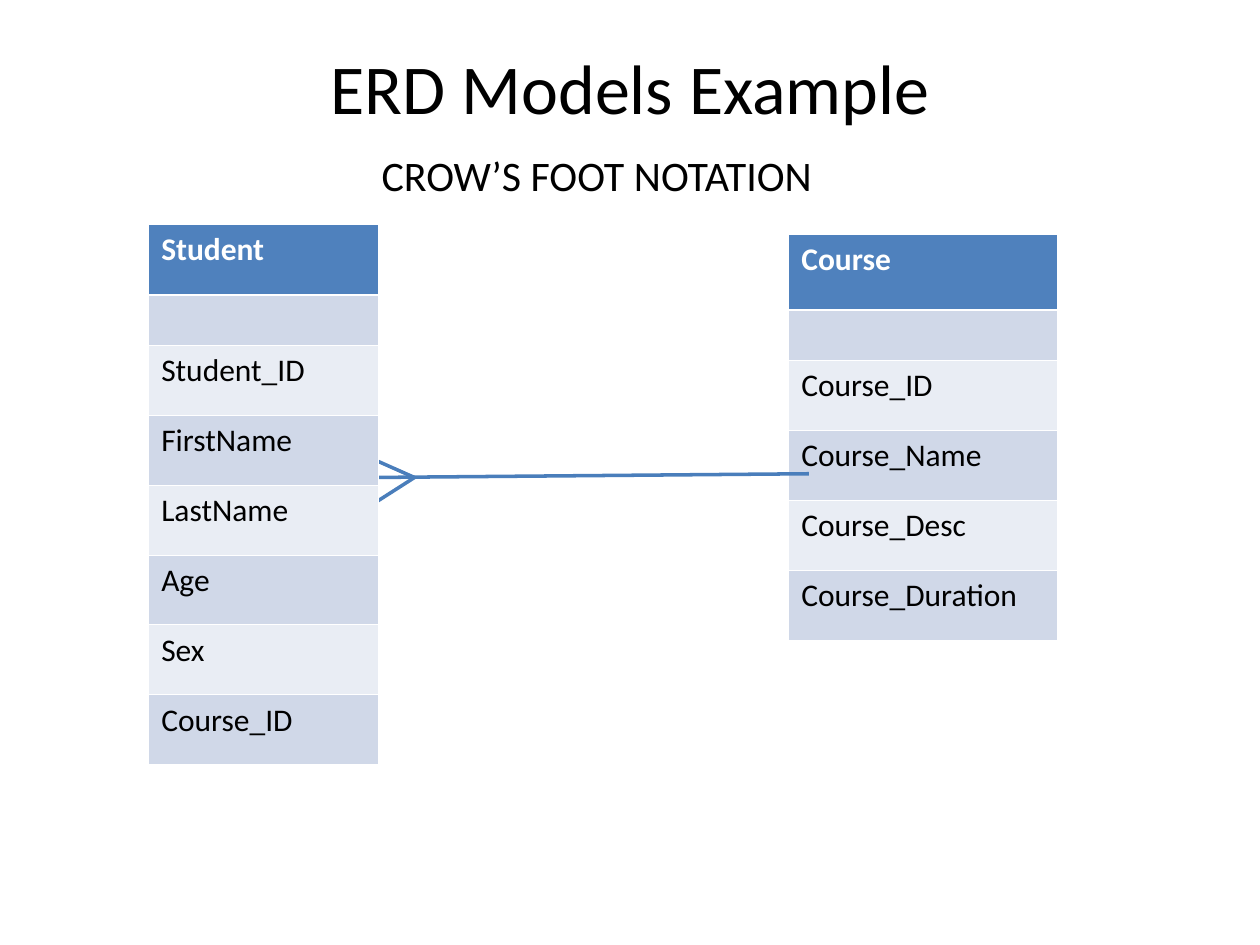
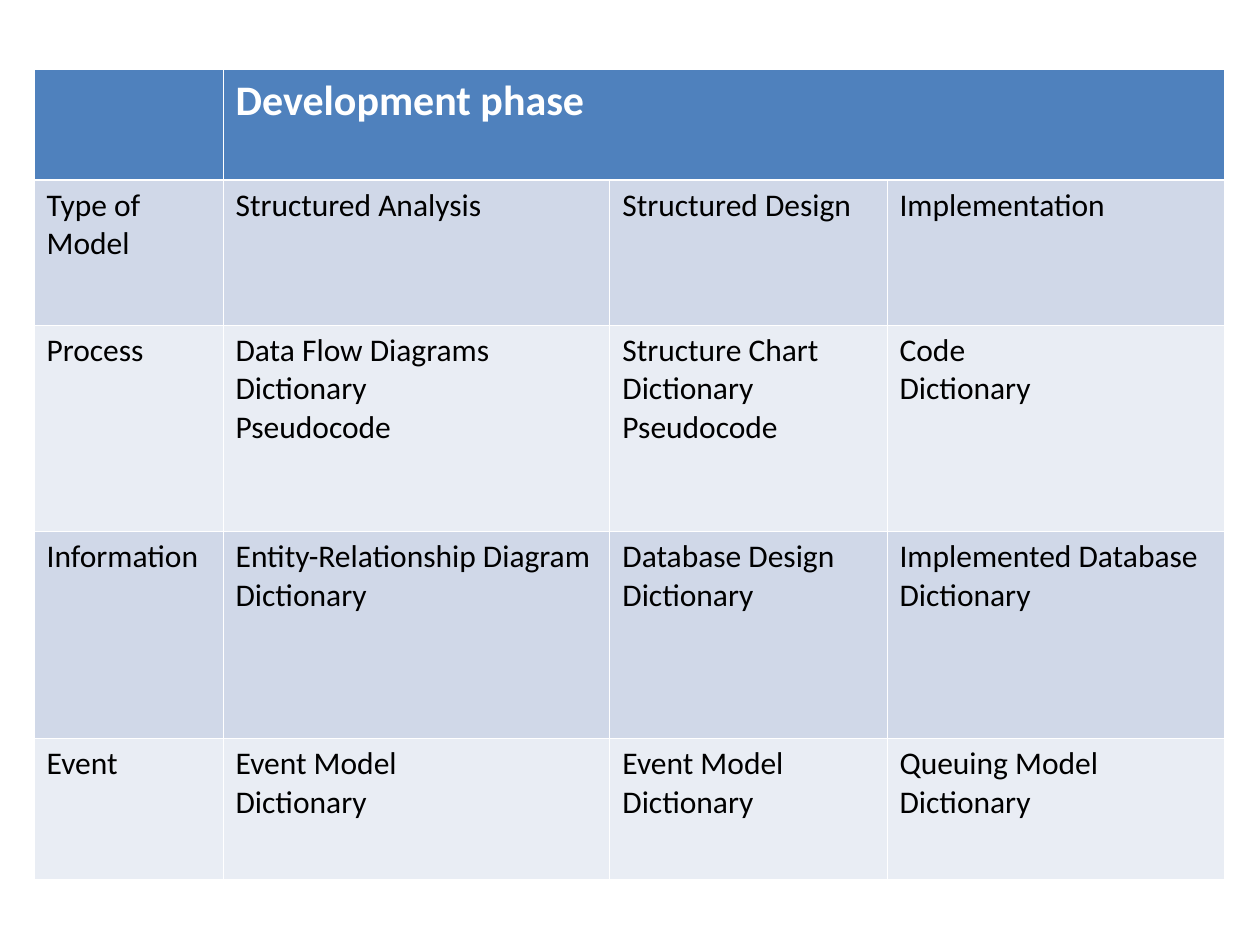
from dataclasses import dataclass

from lxml.etree import SubElement
from pptx import Presentation
from pptx.dml.color import RGBColor
from pptx.enum.shapes import MSO_CONNECTOR as Connector
from pptx.enum.text import MSO_ANCHOR as Anchor, PP_ALIGN as Align
from pptx.oxml import parse_xml
from pptx.oxml.ns import nsdecls, qn
from pptx.util import Emu, Inches, Pt

# Shared look
FONT = "Calibri"
BLACK, WHITE = "000000", "FFFFFF"
HEADER, BANDS = "4F81BD", ("D0D8E8", "E9EDF4")
LINK = "4A7EBB"
BODY_SIZE, SUBTITLE_SIZE, TITLE_SIZE = 18, 24, 40
THIN, THICK = 0.45, 1.47

# The slide is a grid of 100 columns by 75 rows
SLIDE_WIDTH, SLIDE_HEIGHT = Inches(10), Inches(7.5)
COLUMNS, ROWS = 100, 75


@dataclass(frozen=True)
class Label:
    text: str
    left: float
    top: float
    width: float
    height: float
    size: int
    align: Align = Align.LEFT
    anchor: Anchor = Anchor.TOP


@dataclass(frozen=True)
class Grid:
    left: float
    top: float
    widths: tuple[float, ...]
    heights: tuple[float, ...]
    cells: tuple[tuple[str, ...], ...]
    header_size: int = BODY_SIZE


@dataclass(frozen=True)
class Stroke:
    start: tuple[float, float]
    end: tuple[float, float]


TITLE = Label("ERD Models Example", 5, 3, 90, 7.7, TITLE_SIZE, Align.CENTER, Anchor.MIDDLE)
NOTATION = Label("CROW’S FOOT NOTATION", 29.3, 11.4, 37.6, 5, SUBTITLE_SIZE)

COURSE = Grid(
    62.6, 18.6, (21.3,), (6, 4) + (5.55,) * 4,
    (("Course",), ("",), ("Course_ID",), ("Course_Name",), ("Course_Desc",),
     ("Course_Duration",)),
)
STUDENT = Grid(
    11.8, 17.8, (18.2,), (5.6, 4) + (5.55,) * 6,
    (("Student",), ("",), ("Student_ID",), ("FirstName",), ("LastName",), ("Age",),
     ("Sex",), ("Course_ID",)),
)

# Crow's foot: two toes that meet on the relationship line
FOOT_LEFT, FOOT_TIP = 29.3, (32.9, 37.9)
RELATIONSHIP = (
    Stroke((FOOT_LEFT, 36.3), FOOT_TIP),
    Stroke((FOOT_LEFT, 37.9), (64.2, 37.6)),
    Stroke((FOOT_LEFT, 40.2), FOOT_TIP),
)

PHASES = Grid(
    2.7, 5.5, (15, 30.7, 22, 26.8), (8.8, 11.5, 16.4, 16.4, 11.2),
    (
        ("", "Development phase", "", ""),
        ("Type of Model", "Structured Analysis", "Structured Design", "Implementation"),
        ("Process", "Data Flow Diagrams\nDictionary\nPseudocode",
         "Structure Chart\nDictionary\nPseudocode", "Code\nDictionary"),
        ("Information", "Entity-Relationship Diagram\nDictionary",
         "Database Design Dictionary", "Implemented Database\nDictionary"),
        ("Event", "Event Model\nDictionary", "Event Model\nDictionary",
         "Queuing Model\nDictionary"),
    ),
    header_size=SUBTITLE_SIZE,
)


def rgb(colour: str) -> RGBColor:
    return RGBColor.from_string(colour)


def across(columns: float) -> Emu:
    return Emu(round(SLIDE_WIDTH * columns / COLUMNS))


def down(rows: float) -> Emu:
    return Emu(round(SLIDE_HEIGHT * rows / ROWS))


def format_text(frame, size: int, colour: str, bold: bool = False) -> None:
    for paragraph in frame.paragraphs:
        for run in paragraph.runs:
            run.font.name = FONT
            run.font.size = Pt(size)
            run.font.bold = bold
            run.font.color.rgb = rgb(colour)


def draw_label(slide, label: Label) -> None:
    box = slide.shapes.add_textbox(
        across(label.left), down(label.top), across(label.width), down(label.height))
    frame = box.text_frame
    frame.word_wrap = True
    frame.vertical_anchor = label.anchor
    frame.text = label.text
    frame.paragraphs[0].alignment = label.align
    format_text(frame, label.size, BLACK)


def draw_borders(cell, top: float, bottom: float) -> None:
    sides = {"lnL": THIN, "lnR": THIN, "lnT": top, "lnB": bottom}
    properties = cell._tc.get_or_add_tcPr()
    for position, (side, width) in enumerate(sides.items()):
        properties.insert(position, parse_xml(
            f'<a:{side} {nsdecls("a")} w="{Pt(width)}"><a:solidFill>'
            f'<a:srgbClr val="{WHITE}"/></a:solidFill></a:{side}>'))


def draw_grid(slide, grid: Grid) -> None:
    table = slide.shapes.add_table(
        len(grid.heights), len(grid.widths), across(grid.left), down(grid.top),
        across(sum(grid.widths)), down(sum(grid.heights))).table
    for column, width in zip(table.columns, grid.widths):
        column.width = across(width)
    for row, height in zip(table.rows, grid.heights):
        row.height = down(height)

    for r, texts in enumerate(grid.cells):
        is_header = r == 0
        for c, text in enumerate(texts):
            cell = table.cell(r, c)
            cell.text_frame.text = text
            format_text(cell.text_frame, grid.header_size if is_header else BODY_SIZE,
                        WHITE if is_header else BLACK, is_header)
            cell.fill.solid()
            cell.fill.fore_color.rgb = rgb(HEADER if is_header else BANDS[(r - 1) % 2])
            draw_borders(cell, THICK if r == 1 else THIN, THICK if is_header else THIN)

    # The header title spans every column after the first
    if len(grid.widths) > 1:
        table.cell(0, 1).merge(table.cell(0, len(grid.widths) - 1))


def draw_relationship(slide, strokes: tuple[Stroke, ...]) -> None:
    group = slide.shapes.add_group_shape()
    for stroke in strokes:
        (x1, y1), (x2, y2) = stroke.start, stroke.end
        link = group.shapes.add_connector(
            Connector.STRAIGHT, across(x1), down(y1), across(x2), down(y2))
        link.line.color.rgb = rgb(LINK)
        link.line.width = Pt(2)
        SubElement(link._element.spPr, qn("a:effectLst"))


def main() -> None:
    deck = Presentation()
    deck.slide_width, deck.slide_height = SLIDE_WIDTH, SLIDE_HEIGHT
    blank = deck.slide_layouts[6]

    # Entity-relationship example; the student table covers the toe ends
    erd = deck.slides.add_slide(blank)
    draw_label(erd, TITLE)
    draw_grid(erd, COURSE)
    draw_relationship(erd, RELATIONSHIP)
    draw_label(erd, NOTATION)
    draw_grid(erd, STUDENT)

    # Models by development phase
    draw_grid(deck.slides.add_slide(blank), PHASES)

    deck.save("out.pptx")


if __name__ == "__main__":
    main()
